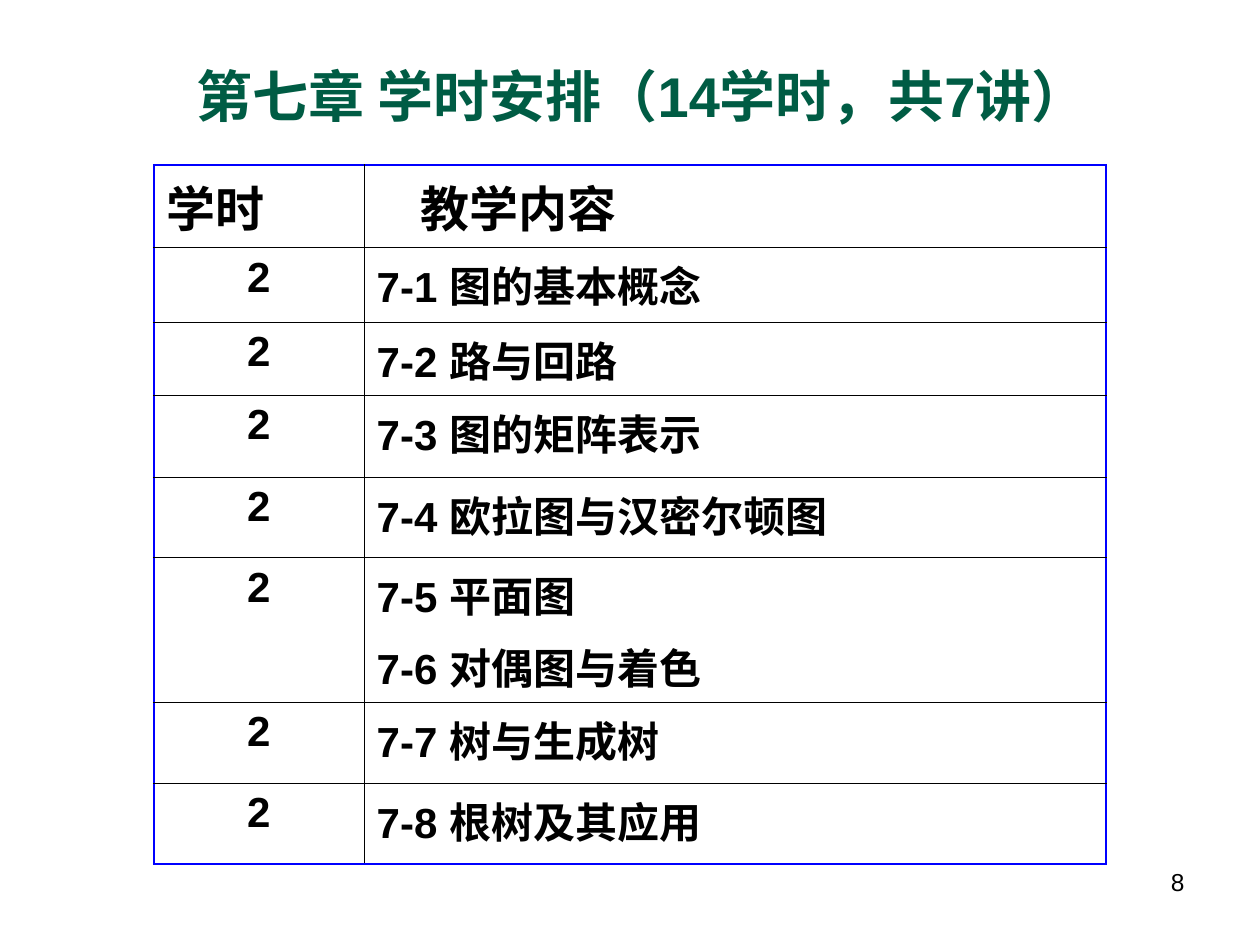
from dataclasses import dataclass

from lxml import etree
from pptx import Presentation
from pptx.dml.color import RGBColor
from pptx.enum import text
from pptx.oxml import ns
from pptx import util as u

GREEN = RGBColor(0x00, 0x5C, 0x44)
BLACK = RGBColor(0x00, 0x00, 0x00)
BLUE = RGBColor(0x00, 0x00, 0xFF)
FONT = "Arial"
WIDTH, HEIGHT = u.Inches(10), u.Inches(7.5)
COLUMNS = (1.67, 5.89)
HEADER_INDENT = u.Inches(0.35)
TITLE_ONLY = 5


@dataclass
class Lesson:
    hours: str
    topics: tuple[str, ...]
    height: float
    size: int = 24
    hours_align: text.PP_ALIGN = text.PP_ALIGN.CENTER


LESSONS = (
    Lesson("学时", ("教学内容",), 0.66, 28, text.PP_ALIGN.LEFT),
    Lesson("2", ("7-1 图的基本概念",), 0.59),
    Lesson("2", ("7-2 路与回路",), 0.58),
    Lesson("2", ("7-3 图的矩阵表示",), 0.65),
    Lesson("2", ("7-4 欧拉图与汉密尔顿图",), 0.64),
    Lesson("2", ("7-5 平面图", "7-6 对偶图与着色"), 1.15),
    Lesson("2", ("7-7 树与生成树",), 0.64),
    Lesson("2", ("7-8 根树及其应用",), 0.64),
)


def place(left: float, top: float, width: float, height: float) -> tuple[int, ...]:
    """Turn percentages of the slide's size into lengths."""
    return (int(left * WIDTH / 100), int(top * HEIGHT / 100),
            int(width * WIDTH / 100), int(height * HEIGHT / 100))


def write(frame, lines: tuple[str, ...], size: int, color: RGBColor = BLACK,
          bold: bool = True, align: text.PP_ALIGN = text.PP_ALIGN.LEFT) -> None:
    frame.text = "\n".join(lines)
    for index, para in enumerate(frame.paragraphs):
        para.alignment = align
        if index:
            para.space_before = u.Pt(6)
        for span in para.runs:
            span.font.name = FONT
            span.font.size = u.Pt(size)
            span.font.bold = bold
            span.font.color.rgb = color


def draw_borders(cell, outer_sides: dict[str, bool]) -> None:
    """Draw outer sides thick and blue, inner sides thin and black."""
    properties = cell._tc.get_or_add_tcPr()
    for side, outer in outer_sides.items():
        line = etree.SubElement(properties, ns.qn(f"a:ln{side}"),
                                w=str(u.Pt(1.08 if outer else 0.45)))
        fill = etree.SubElement(line, ns.qn("a:solidFill"))
        etree.SubElement(fill, ns.qn("a:srgbClr"), val=str(BLUE if outer else BLACK))


def add_schedule(page) -> None:
    area = place(12.2, 17.43, 75.6, 74)
    table = page.shapes.add_table(len(LESSONS), len(COLUMNS), *area).table
    table.first_row = table.horz_banding = False
    for column, width in zip(table.columns, COLUMNS):
        column.width = u.Inches(width)
    for row, lesson in enumerate(LESSONS):
        table.rows[row].height = u.Inches(lesson.height)
        contents = (((lesson.hours,), lesson.hours_align),
                    (lesson.topics, text.PP_ALIGN.LEFT))
        for column, (lines, align) in enumerate(contents):
            cell = table.cell(row, column)
            write(cell.text_frame, lines, lesson.size, align=align)
            draw_borders(cell, {"L": column == 0,
                                "R": column == len(COLUMNS) - 1,
                                "T": row == 0,
                                "B": row == len(LESSONS) - 1})
            cell.fill.background()
    heading = table.cell(0, 1).text_frame.paragraphs[0]
    heading._p.get_or_add_pPr().set("marL", str(HEADER_INDENT))


def add_title(page) -> None:
    title = page.shapes.title
    title.left, title.top, title.width, title.height = place(2.7, 1.75, 93.4, 16.7)
    frame = title.text_frame
    frame.word_wrap = True
    frame.auto_size = text.MSO_AUTO_SIZE.NONE
    frame.vertical_anchor = text.MSO_ANCHOR.MIDDLE
    frame.margin_left = u.Inches(0.41)
    write(frame, ("第七章 学时安排（14学时，共7讲）",), 32, GREEN,
          align=text.PP_ALIGN.CENTER)


def add_page_number(page) -> None:
    box = page.shapes.add_textbox(*place(71.7, 91.1, 23.3, 6.9))
    box.text_frame.word_wrap = True
    write(box.text_frame, ("8",), 14, bold=False, align=text.PP_ALIGN.RIGHT)


def main() -> None:
    deck = Presentation()
    deck.slide_width, deck.slide_height = WIDTH, HEIGHT
    page = deck.slides.add_slide(deck.slide_layouts[TITLE_ONLY])
    add_page_number(page)
    add_schedule(page)
    add_title(page)
    deck.save("out.pptx")


if __name__ == "__main__":
    main()
